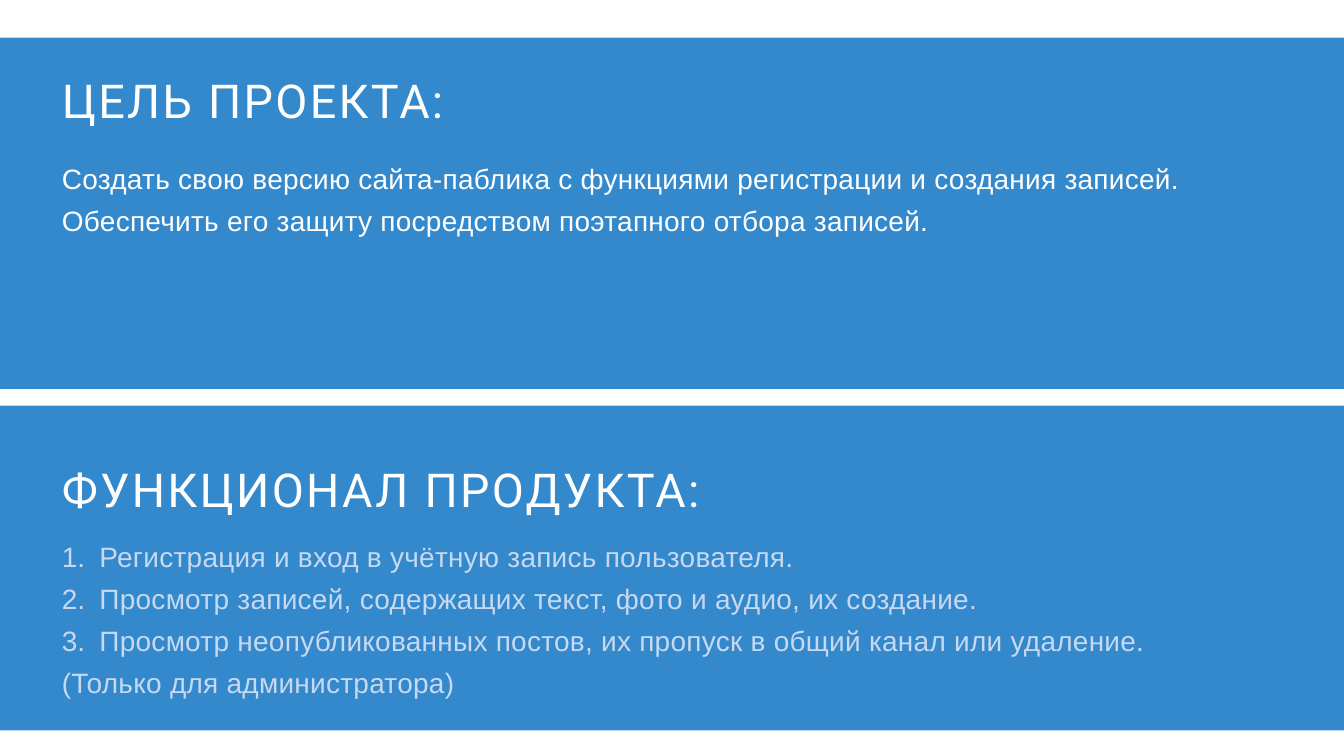
"""Build a slide with the project goal and the product features in two blue bands."""
from dataclasses import dataclass

from lxml.etree import SubElement
from pptx import Presentation
from pptx.dml.color import RGBColor
from pptx.enum.shapes import MSO_SHAPE
from pptx.enum.text import MSO_AUTO_SIZE, PP_ALIGN
from pptx.oxml.ns import qn
from pptx.util import Cm, Pt


@dataclass(frozen=True)
class Theme:
    band: RGBColor = RGBColor(0x34, 0x88, 0xCC)
    white: RGBColor = RGBColor(0xFF, 0xFF, 0xFF)
    pale: RGBColor = RGBColor(0xC6, 0xD9, 0xF1)
    heading_font: str = "Roboto"
    body_font: str = "Arial"
    heading_size: int = 50
    body_size: int = 30


theme = Theme()
HEADING = dict(font=theme.heading_font, size=theme.heading_size, leading=70,
               tracking=250, align=None, color=theme.white)
BODY = dict(font=theme.body_font, size=theme.body_size, leading=45,
            tracking=30, align=PP_ALIGN.JUSTIFY)
LEFT = 2.34


def add_text(shapes, lines, *, top, width, height, font, size, color,
             leading, tracking, align, numbered=0):
    """Add a text box whose first `numbered` lines form a numbered list."""
    box = shapes.add_textbox(Cm(LEFT), Cm(top), Cm(width), Cm(height))
    frame = box.text_frame
    frame.word_wrap = True
    frame.auto_size = MSO_AUTO_SIZE.SHAPE_TO_FIT_TEXT
    frame.margin_left = frame.margin_top = frame.margin_right = frame.margin_bottom = 0
    for index, line in enumerate(lines):
        paragraph = frame.paragraphs[0] if index == 0 else frame.add_paragraph()
        paragraph.alignment = align
        paragraph.line_spacing = Pt(leading)
        run = paragraph.add_run()
        run.text = line
        run.font.name = font
        run.font.size = Pt(size)
        run.font.color.rgb = color
        run._r.get_or_add_rPr().set("spc", str(tracking))
        if index < numbered:
            properties = paragraph._p.get_or_add_pPr()
            properties.set("marL", str(Cm(1.42)))
            properties.set("indent", str(-Cm(1.42)))
            SubElement(properties, qn("a:buFont"), typeface=font)
            SubElement(properties, qn("a:buAutoNum"), type="arabicPeriod")


presentation = Presentation()
presentation.slide_width = Cm(50.8)
presentation.slide_height = Cm(28.58)
slide = presentation.slides.add_slide(presentation.slide_layouts[6])

for left, top, width, height in ((-0.05, 1.42, 50.85, 13.28), (0, 15.34, 50.8, 12.27)):
    band = slide.shapes.add_shape(MSO_SHAPE.RECTANGLE, Cm(left), Cm(top), Cm(width), Cm(height))
    band.shadow.inherit = False
    band.fill.solid()
    band.fill.fore_color.rgb = theme.band
    band.line.fill.background()

features = slide.shapes.add_group_shape().shapes
add_text(features, ["ФУНКЦИОНАЛ ПРОДУКТА:"], top=17.07, width=47.42, height=2.29, **HEADING)
add_text(features, [
    "Регистрация и вход в учётную запись пользователя.",
    "Просмотр записей, содержащих текст, фото и аудио, их создание.",
    "Просмотр неопубликованных постов, их пропуск в общий канал или удаление.",
    "(Только для администратора)",
], top=20.09, width=47.52, height=6.25, color=theme.pale, numbered=3, **BODY)

goal = slide.shapes.add_group_shape().shapes
add_text(goal, ["ЦЕЛЬ ПРОЕКТА:"], top=2.36, width=49.1, height=2.82, **HEADING)
add_text(goal, [
    "Создать свою версию сайта-паблика с функциями регистрации и создания записей.",
    "Обеспечить его защиту посредством поэтапного отбора записей.",
], top=5.77, width=47.52, height=3.05, color=theme.white, **BODY)

presentation.save("out.pptx")
